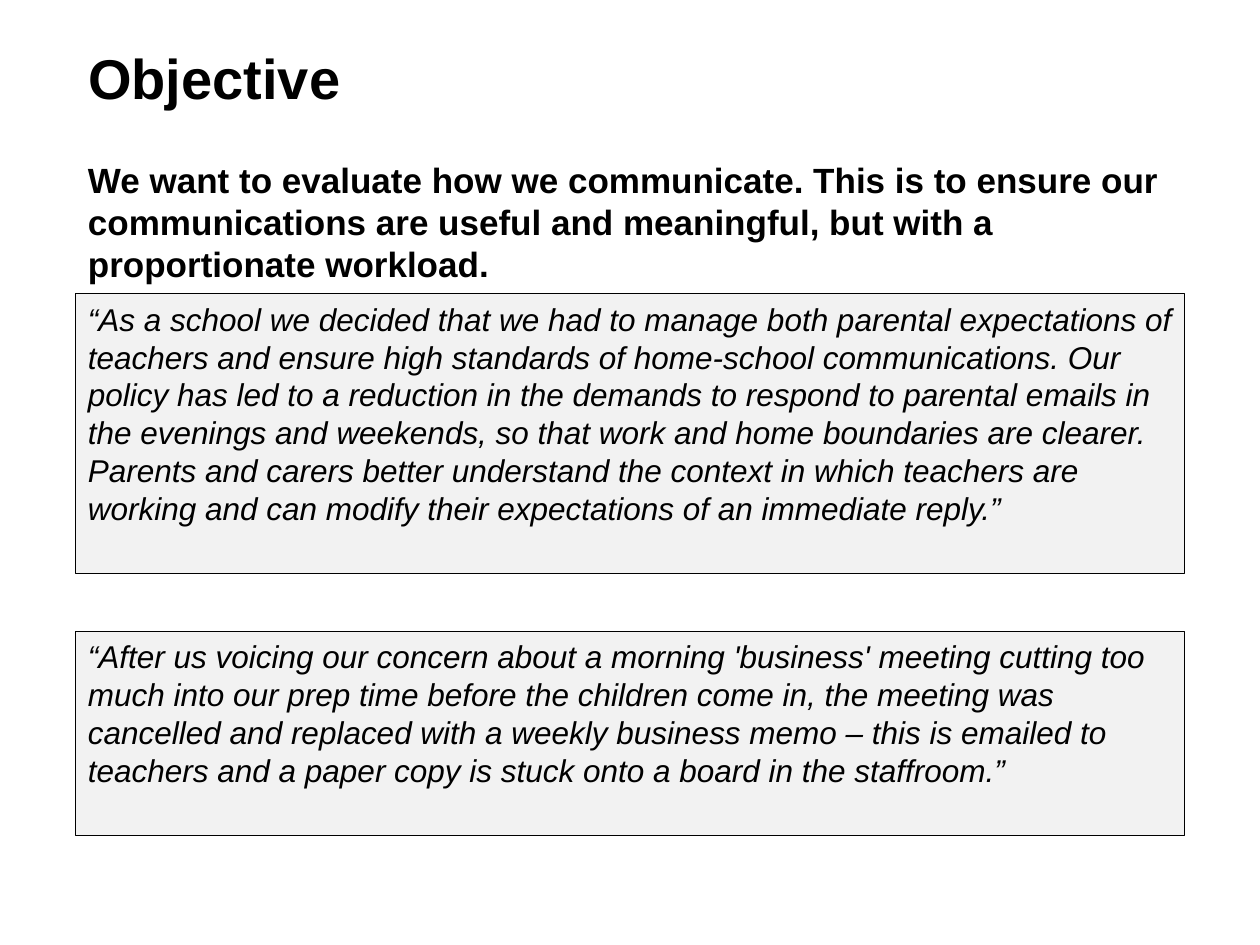
import pptx
import pptx.util
import pptx.dml.color
import pptx.enum.shapes
import pptx.enum.text

PX = 9144
COLORS = {"text": "000000", "panel": "F2F2F2", "line": "000000"}
LEFT = 60


def rgb(name):
    return pptx.dml.color.RGBColor.from_string(COLORS[name])


def write(tf, text, size, bold=False, italic=False):
    tf.word_wrap = True
    p = tf.paragraphs[0]
    p.alignment = pptx.enum.text.PP_ALIGN.LEFT
    p.line_spacing = pptx.util.Pt(size * 1.2)
    r = p.add_run()
    r.text = text
    r.font.name = "Arial"
    r.font.size = pptx.util.Pt(size)
    r.font.bold = bold
    r.font.italic = italic
    r.font.color.rgb = rgb("text")
    return p


prs = pptx.Presentation()
prs.slide_width = 1000 * PX
prs.slide_height = 750 * PX
s = prs.slides.add_slide(prs.slide_layouts[5])

title = s.shapes.title
title.left, title.top, title.width, title.height = LEFT * PX, 2 * PX, 850 * PX, 119 * PX
title.text_frame.vertical_anchor = pptx.enum.text.MSO_ANCHOR.MIDDLE
write(title.text_frame, "Objective", 32, bold=True)

intro = s.shapes.add_textbox(LEFT * PX, 121 * PX, 874 * PX, 109 * PX)
p = write(
    intro.text_frame,
    "We want to evaluate how we communicate. This is to ensure our communications "
    "are useful and meaningful, but with a proportionate workload.",
    20,
    bold=True,
)
p.space_after = pptx.util.Pt(6)

quotes = [
    (233, 222,
     "“As a school we decided that we had to manage both parental expectations of "
     "teachers and ensure high standards of home-school communications. Our policy "
     "has led to a reduction in the demands to respond to parental emails in the "
     "evenings and weekends, so that work and home boundaries are clearer. Parents "
     "and carers better understand the context in which teachers are working and "
     "can modify their expectations of an immediate reply.”"),
    (501, 162,
     "“After us voicing our concern about a morning 'business' meeting cutting too "
     "much into our prep time before the children come in, the meeting was cancelled "
     "and replaced with a weekly business memo – this is emailed to teachers and a "
     "paper copy is stuck onto a board in the staffroom.”"),
]
for top, height, text in quotes:
    sp = s.shapes.add_shape(
        pptx.enum.shapes.MSO_SHAPE.RECTANGLE, LEFT * PX, top * PX, 880 * PX, height * PX
    )
    sp.shadow.inherit = False
    sp.fill.solid()
    sp.fill.fore_color.rgb = rgb("panel")
    sp.line.color.rgb = rgb("line")
    sp.line.width = pptx.util.Pt(0.75)
    sp.text_frame.vertical_anchor = pptx.enum.text.MSO_ANCHOR.TOP
    write(sp.text_frame, text, 18, italic=True)

prs.save("out.pptx")
